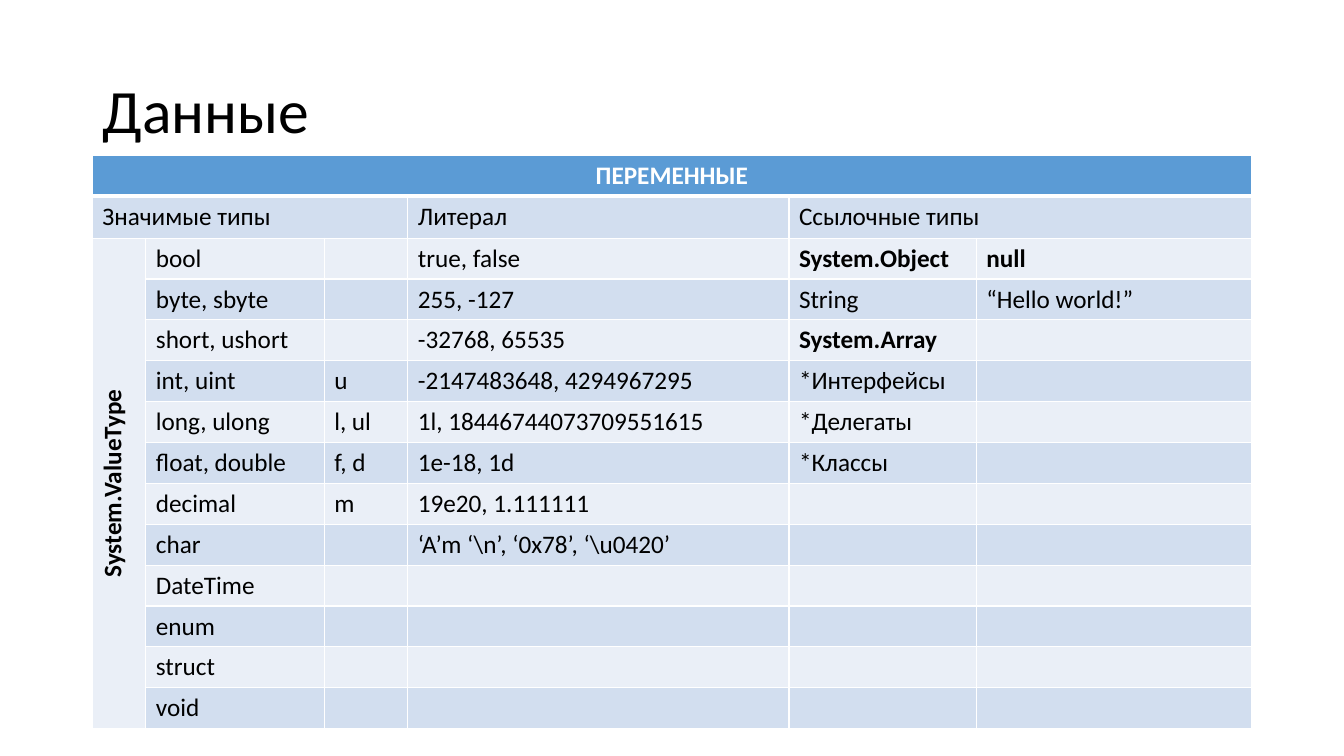
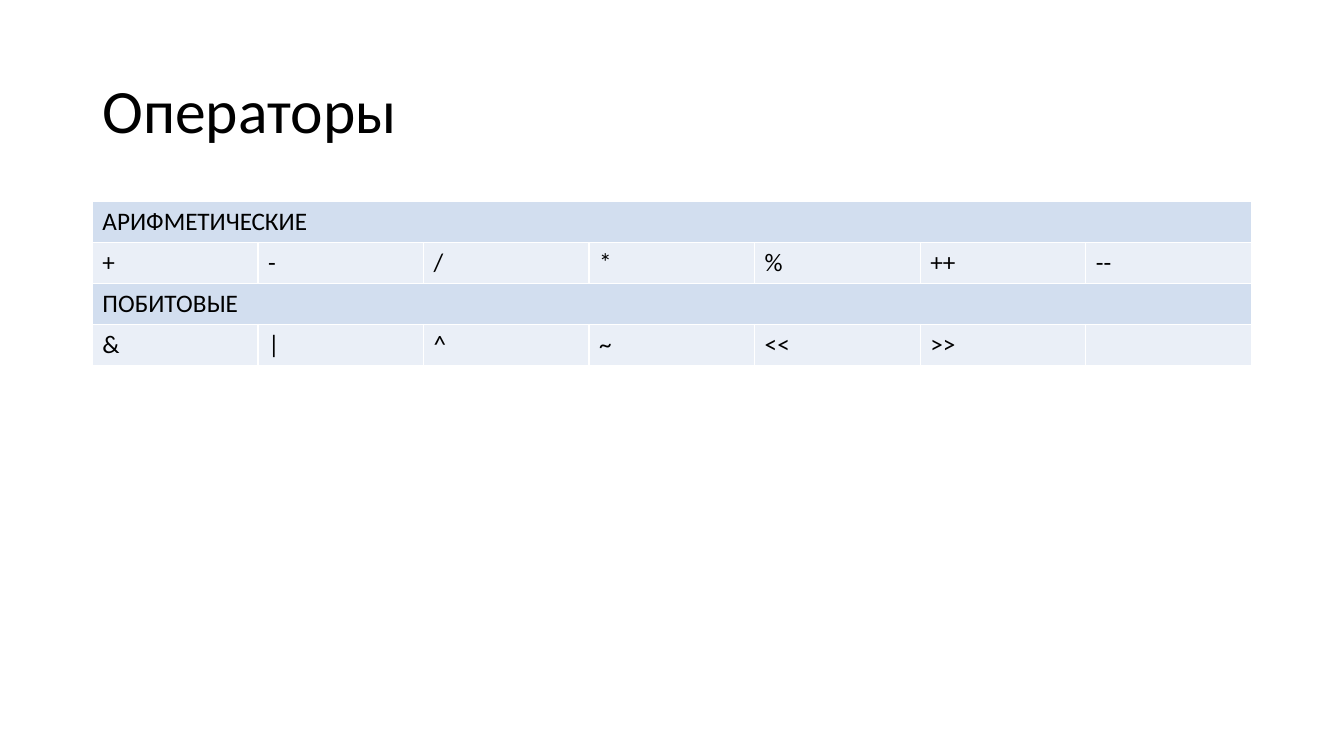
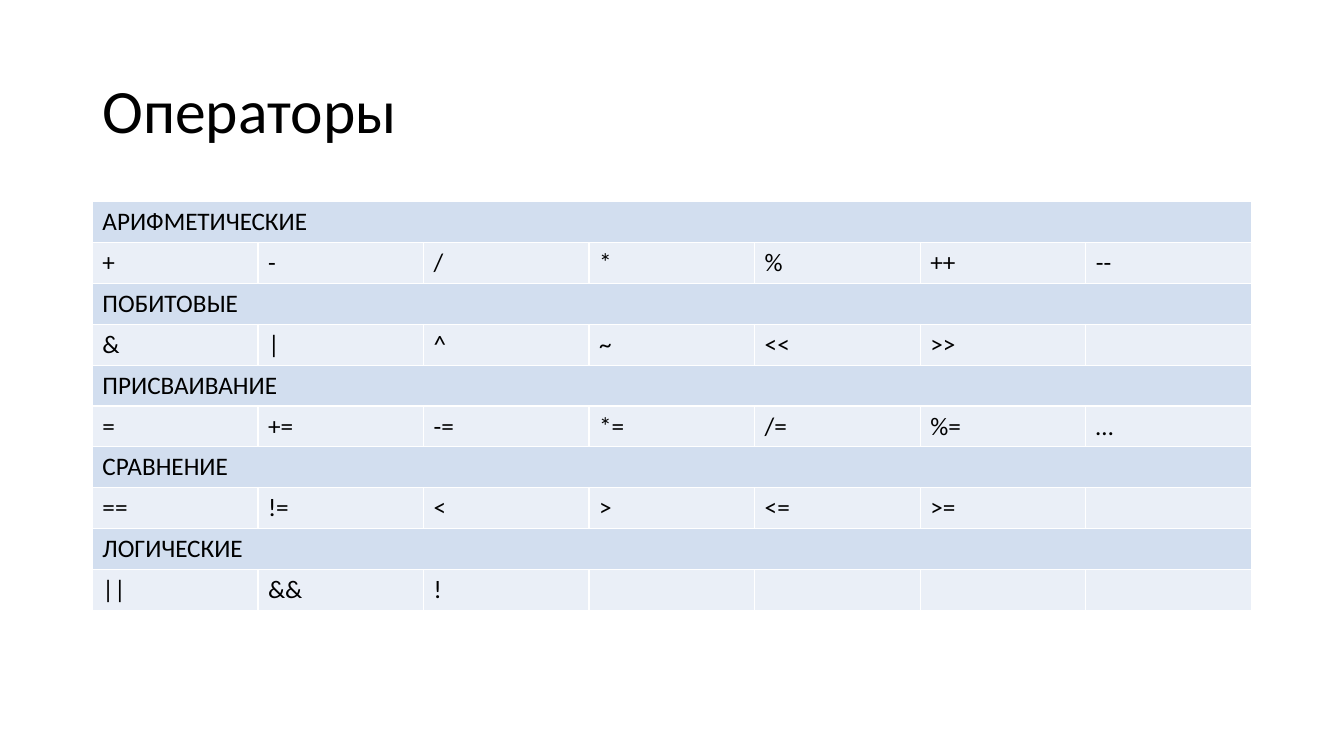
"""Build three slides on data types and operators."""
from lxml.etree import SubElement
from pptx import Presentation
from pptx.dml.color import RGBColor
from pptx.enum.text import MSO_ANCHOR, PP_ALIGN
from pptx.oxml.ns import qn
from pptx.util import Pt

FONT = "Calibri"
BLACK, WHITE, HEADER = "000000", "FFFFFF", "5B9BD5"
BANDS = ["D2DEEF", "EAEFF7"]
LEFT, WIDTH, ROW_H = 66, 828, 29.2


def write(tf, text, size=18, color=BLACK, bold=False, align=PP_ALIGN.LEFT, spacing=None):
    p = tf.paragraphs[0]
    p.alignment = align
    p.line_spacing = spacing
    r = p.add_run()
    r.text = text
    r.font.name = FONT
    r.font.size = Pt(size)
    r.font.bold = bold
    r.font.color.rgb = RGBColor.from_string(color)


def set_borders(cell, top, bottom):
    tcPr = cell._tc.get_or_add_tcPr()
    for side, width in (("L", 1), ("R", 1), ("T", top), ("B", bottom)):
        ln = SubElement(tcPr, qn(f"a:ln{side}"), w=str(Pt(width)))
        fill = SubElement(ln, qn("a:solidFill"))
        SubElement(fill, qn("a:srgbClr"), val=WHITE)


types = [
    ["ПЕРЕМЕННЫЕ"],
    ["Значимые типы", "", "", "Литерал", "Ссылочные типы"],
    ["System.ValueType", "bool", "", "true, false", "System.Object", "null"],
    ["", "byte, sbyte", "", "255, -127", "String", "“Hello world!”"],
    ["", "short, ushort", "", "-32768, 65535", "System.Array"],
    ["", "int, uint", "u", "-2147483648, 4294967295", "*Интерфейсы"],
    ["", "long, ulong", "l, ul", "1l, 18446744073709551615", "*Делегаты"],
    ["", "float, double", "f, d", "1e-18, 1d", "*Классы"],
    ["", "decimal", "m", "19e20, 1.111111"],
    ["", "char", "", r"‘A’m ‘\n’, ‘0x78’, ‘\u0420’"],
    ["", "DateTime"],
    ["", "enum"],
    ["", "struct"],
    ["", "void"],
]
operators = [
    ["АРИФМЕТИЧЕСКИЕ"],
    ["+", "-", "/", "*", "%", "++", "--"],
    ["ПОБИТОВЫЕ"],
    ["&", "|", "^", "~", "<<", ">>"],
    ["ПРИСВАИВАНИЕ"],
    ["=", "+=", "-=", "*=", "/=", "%=", "…"],
    ["СРАВНЕНИЕ"],
    ["==", "!=", "<", ">", "<=", ">="],
    ["ЛОГИЧЕСКИЕ"],
    ["||", "&&", "!"],
]
bold_words = {"ПЕРЕМЕННЫЕ", "System.ValueType", "System.Object", "System.Array", "null"}
type_cols = [38.2, 127.4, 59.8, 272.2, 133.9, 196.5]
operator_cols = [WIDTH / 7] * 7
type_spans = [(1, 0, 1, 2), (1, 4, 1, 5), (2, 0, 13, 0)]

slides = [
    ("Данные", types, type_cols, 110.9, True, type_spans),
    ("Операторы", operators[:4], operator_cols, 144, False, []),
    ("Операторы", operators, operator_cols, 144, False, []),
]

prs = Presentation()
prs.slide_width, prs.slide_height = Pt(960), Pt(540)

for title, rows, cols, top, has_header, spans in slides:
    s = prs.slides.add_slide(prs.slide_layouts[5])
    sp = s.shapes.title
    sp.left, sp.top, sp.width, sp.height = Pt(LEFT), Pt(28.75), Pt(WIDTH), Pt(104.4)
    sp.text_frame.vertical_anchor = MSO_ANCHOR.MIDDLE
    write(sp.text_frame, title, size=44, spacing=0.9)

    table = s.shapes.add_table(len(rows), len(cols), Pt(LEFT), Pt(top),
                               Pt(WIDTH), Pt(ROW_H * len(rows))).table
    table.first_row = has_header
    for column, width in zip(table.columns, cols):
        column.width = Pt(width)

    for i, row in enumerate(rows):
        table.rows[i].height = Pt(ROW_H)
        is_header = has_header and i == 0
        for j in range(len(cols)):
            cell = table.cell(i, j)
            set_borders(cell, 3 if has_header and i == 1 else 1, 3 if is_header else 1)
            cell.fill.solid()
            band = HEADER if is_header else BANDS[(i - has_header) % 2]
            cell.fill.fore_color.rgb = RGBColor.from_string(band)
            text = row[j] if j < len(row) else ""
            if text:
                centred = is_header or text == "System.ValueType"
                write(cell.text_frame, text, color=WHITE if is_header else BLACK,
                      bold=text in bold_words,
                      align=PP_ALIGN.CENTER if centred else PP_ALIGN.LEFT)
        if len(row) == 1:
            table.cell(i, 0).merge(table.cell(i, len(cols) - 1))

    for r1, c1, r2, c2 in spans:
        table.cell(r1, c1).merge(table.cell(r2, c2))
    if has_header:
        table.rows[1].height = Pt(30)
        table.cell(0, 0).vertical_anchor = MSO_ANCHOR.MIDDLE
        table.cell(2, 0)._tc.get_or_add_tcPr().set("vert", "vert270")

prs.save("out.pptx")
